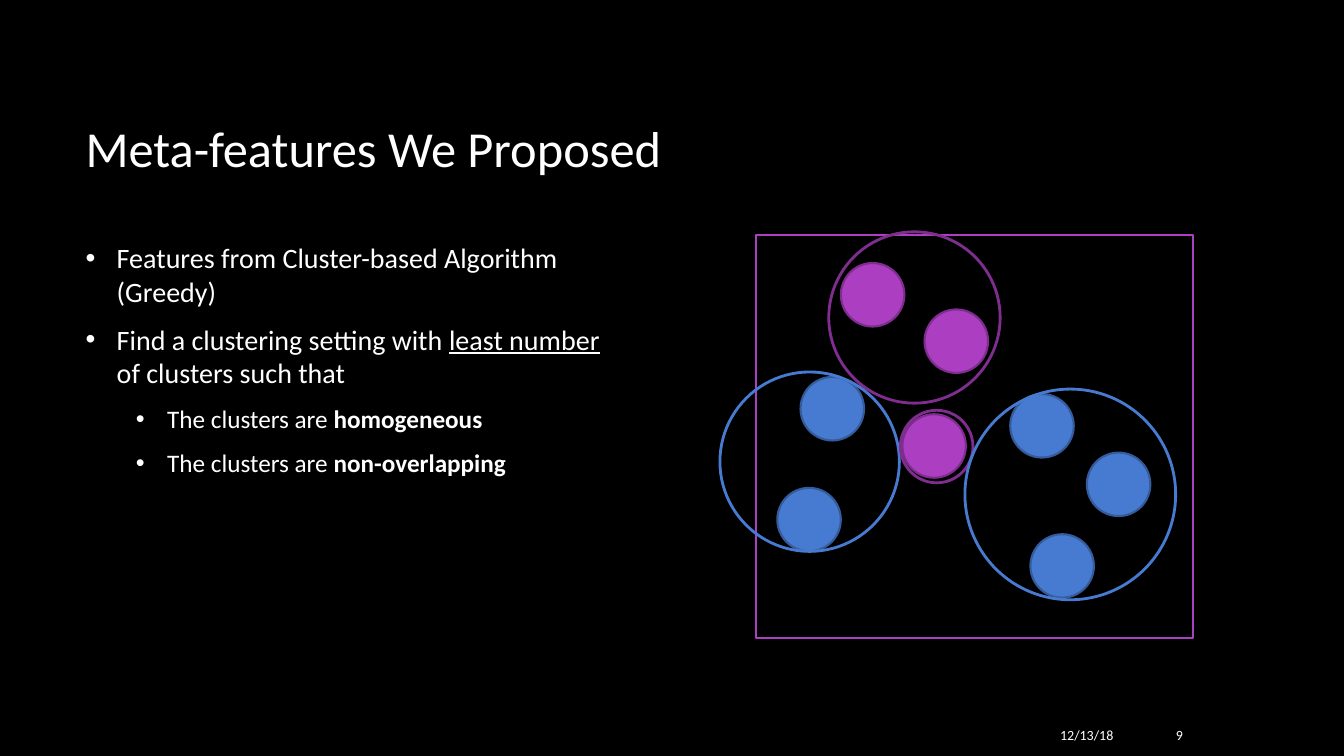
"""Build the slide on cluster-based meta-features."""
from pptx import Presentation
from pptx import util as u
from pptx.dml.color import RGBColor
from pptx.enum import shapes, text
from pptx.oxml.ns import qn
from lxml import etree

BLACK = RGBColor(0x00, 0x00, 0x00)
WHITE = RGBColor(0xFF, 0xFF, 0xFF)
PINK = RGBColor(0xAC, 0x3E, 0xC1)
PLUM = RGBColor(0x7F, 0x2E, 0x8F)
BLUE = RGBColor(0x47, 0x7B, 0xD1)
NAVY = RGBColor(0x35, 0x5B, 0x9B)
OVAL = shapes.MSO_SHAPE.OVAL
MID = text.MSO_ANCHOR.MIDDLE
LEFT, RIGHT = text.PP_ALIGN.LEFT, text.PP_ALIGN.RIGHT

deck = Presentation()
deck.slide_width, deck.slide_height = u.Inches(13.33), u.Inches(7.5)
slide = deck.slides.add_slide(deck.slide_layouts[6])
slide.background.fill.solid()
slide.background.fill.fore_color.rgb = BLACK


def style(run, size):
    run.font.name, run.font.size = "Calibri", u.Pt(size)
    run.font.color.rgb = WHITE


def draw(kind, x, y, w, h, edge, width, fill=None):
    shape = slide.shapes.add_shape(kind, *map(u.Inches, (x, y, w, h)))
    shape.shadow.inherit = False
    shape.line.color.rgb, shape.line.width = edge, u.Pt(width)
    if fill is None:
        shape.fill.background()
    else:
        shape.fill.solid()
        shape.fill.fore_color.rgb = fill


labels = [
    ("Meta-features We Proposed", 0.75, 0.67, 11.08, 1.59, 36, LEFT),
    ("12/13/18", 9.39, 7.09, 1.75, 0.41, 10, RIGHT),
    ("9", 11.23, 7.09, 0.6, 0.41, 10, RIGHT),
]
for words, x, y, w, h, size, align in labels:
    frame = slide.shapes.add_textbox(*map(u.Inches, (x, y, w, h))).text_frame
    frame.word_wrap, frame.vertical_anchor = True, MID
    frame.text = words
    para = frame.paragraphs[0]
    para.alignment = align
    style(para.runs[0], size)

points = [
    (0, 20, [("Features from Cluster-based Algorithm (Greedy)", "")]),
    (0, 20, [("Find a clustering setting with ", ""), ("least number ", "u"),
             ("of clusters such that", "")]),
    (1, 18, [("The clusters are ", ""), ("homogeneous", "b")]),
    (1, 18, [("The clusters are ", ""), ("non-overlapping", "b")]),
]
body = slide.shapes.add_textbox(*map(u.Inches, (0.75, 2.34, 5.46, 3.99))).text_frame
body.word_wrap = True
for i, (level, size, parts) in enumerate(points):
    para = body.add_paragraph() if i else body.paragraphs[0]
    para.level, para.space_after = level, u.Pt(10)
    for words, mark in parts:
        run = para.add_run()
        run.text = words
        style(run, size)
        run.font.bold, run.font.underline = mark == "b", mark == "u"
    props = para._p.get_or_add_pPr()
    props.set("marL", str(u.Inches(0.31 + 0.5 * level)))
    props.set("indent", str(u.Inches(-0.31)))
    tint = etree.SubElement(props, qn("a:buClr"))
    etree.SubElement(tint, qn("a:srgbClr"), val=str(WHITE))
    etree.SubElement(props, qn("a:buFont"), typeface="Arial")
    etree.SubElement(props, qn("a:buChar"), char="•")

draw(shapes.MSO_SHAPE.RECTANGLE, 7.5, 2.33, 4.33, 4, PINK, 1.5)

dots = [
    (PINK, PLUM, [(8.34, 2.61), (9.17, 3.07)]),
    (BLUE, NAVY, [(10.02, 3.91), (7.94, 3.74), (10.78, 4.49), (10.22, 5.3), (7.71, 4.84)]),
    (PINK, PLUM, [(8.95, 4.11)]),
]
for fill, edge, spots in dots:
    for x, y in spots:
        draw(OVAL, x, y, 0.63, 0.63, edge, 1.5, fill)

rings = [(8.22, 2.3, 1.7, PLUM), (7.14, 3.69, 1.78, BLUE),
         (8.93, 4.07, 0.72, PLUM), (9.57, 3.86, 2.09, BLUE)]
for x, y, size, edge in rings:
    draw(OVAL, x, y, size, size, edge, 2)

deck.save("out.pptx")
